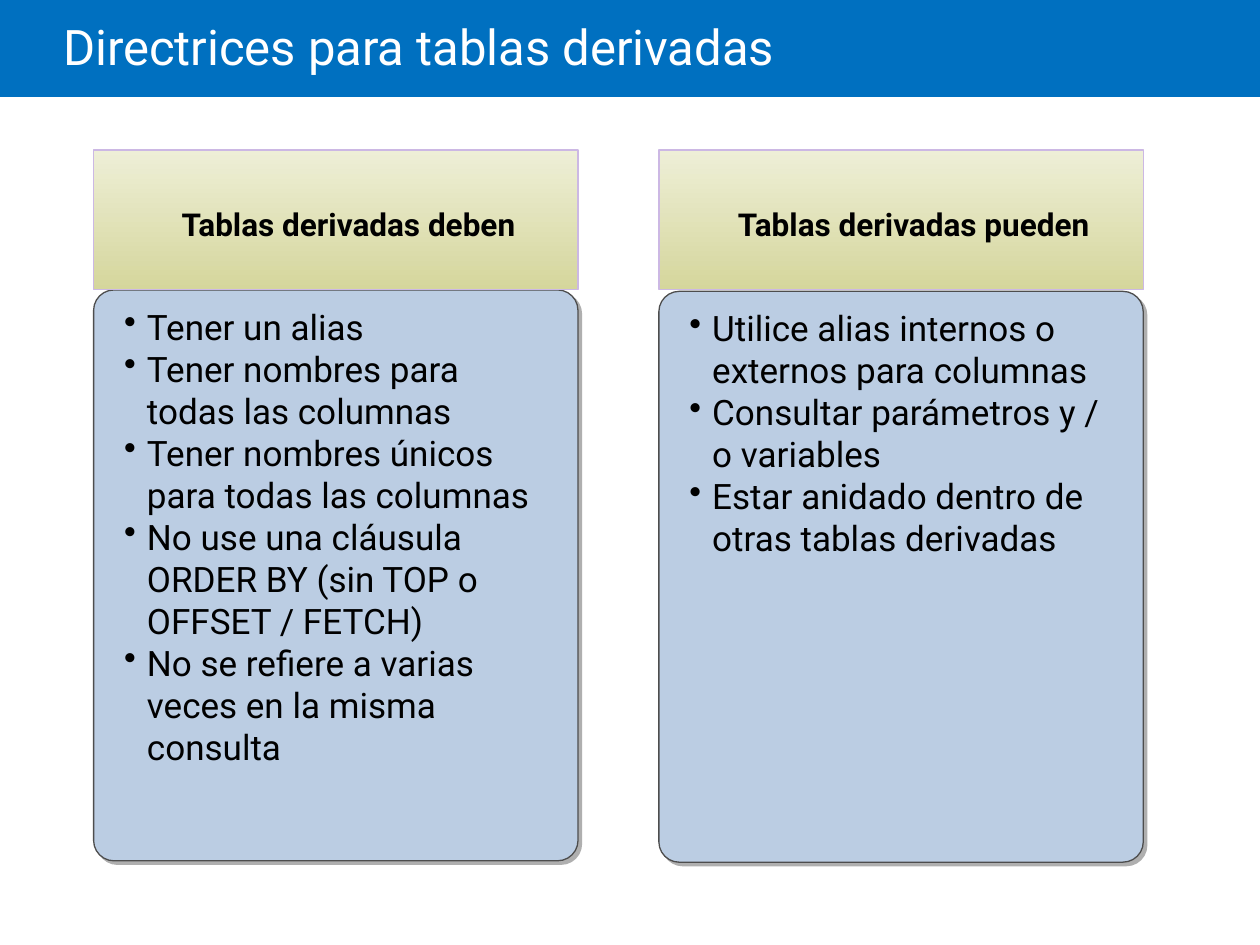
import pptx
import pptx.dml.color
import pptx.enum.shapes
import pptx.enum.text
import pptx.oxml
import pptx.oxml.ns
import pptx.util

Pt = pptx.util.Pt
SHAPES = pptx.enum.shapes.MSO_SHAPE
ALIGN = pptx.enum.text.PP_ALIGN
ANCHOR = pptx.enum.text.MSO_ANCHOR

FONT = "Roboto"
COLORS = {
    "band": "0070C0", "white": "FFFFFF", "text": "000000",
    "card": "BBCDE3", "card_line": "4D4D4D", "shadow": "AFAFAF",
    "header_top": "EEEFD7", "header_bottom": "D5D69C", "header_line": "CCB8E4",
}
COLUMN_WIDTH = 276.8
HEADER_TOP, HEADER_HEIGHT = 85.7, 79.9
CARD_HEIGHT = 326.2
BULLET_INDENT = 13

# left edge, card top, heading, bullet points
COLUMNS = [
    (53.5, 165.7, "Tablas derivadas deben", [
        "Tener un alias",
        "Tener nombres para todas las columnas",
        "Tener nombres únicos para todas las columnas",
        "No use una cláusula ORDER BY (sin TOP o OFFSET / FETCH)",
        "No se refiere a varias veces en la misma consulta",
    ]),
    (376.5, 166.5, "Tablas derivadas pueden", [
        "Utilice alias internos o externos para columnas",
        "Consultar parámetros y / o variables",
        "Estar anidado dentro de otras tablas derivadas",
    ]),
]


def color(name):
    return pptx.dml.color.RGBColor.from_string(COLORS[name])


def add_span(para, text, size, color_name, bold=False):
    span = para.add_run()
    span.text = text
    span.font.name = FONT
    span.font.size = Pt(size)
    span.font.bold = bold
    span.font.color.rgb = color(color_name)


def set_frame(frame, left, top, right, bottom, anchor):
    frame.word_wrap = True
    frame.auto_size = pptx.enum.text.MSO_AUTO_SIZE.NONE
    frame.vertical_anchor = anchor
    frame.margin_left, frame.margin_top = Pt(left), Pt(top)
    frame.margin_right, frame.margin_bottom = Pt(right), Pt(bottom)


def add_block(shapes, kind, left, top, width, height, line=None):
    """Add a preset shape without a shadow, outlined only if a line colour is given."""
    block = shapes.add_shape(kind, Pt(left), Pt(top), Pt(width), Pt(height))
    block.shadow.inherit = False
    if line:
        block.line.color.rgb = color(line)
        block.line.width = Pt(0.75)
    else:
        block.line.fill.background()
    return block


def fill_solid(block, color_name):
    block.fill.solid()
    block.fill.fore_color.rgb = color(color_name)


def add_title(page, text):
    band = add_block(page.shapes, SHAPES.RECTANGLE, 0, 0, 720, 55.4)
    fill_solid(band, "band")
    page.shapes.element.insert(2, band.element)  # behind the title

    title = page.shapes.title
    title.left, title.top = Pt(36), Pt(0)
    title.width, title.height = Pt(612), Pt(58.3)
    set_frame(title.text_frame, 0, 3.6, 7.2, 3.6, ANCHOR.MIDDLE)
    para = title.text_frame.paragraphs[0]
    para.alignment = ALIGN.LEFT
    para.line_spacing = 0.85
    add_span(para, text, 28, "white")


def add_card(shapes, left, top):
    card = add_block(shapes, SHAPES.ROUNDED_RECTANGLE, left, top,
                     COLUMN_WIDTH, CARD_HEIGHT, "card_line")
    card.adjustments[0] = 0.042
    fill_solid(card, "card")
    effects = card.element.spPr.find(pptx.oxml.ns.qn("a:effectLst"))
    effects.append(pptx.oxml.parse_xml(
        f'<a:outerShdw {pptx.oxml.ns.nsdecls("a")} blurRad="0" dist="{Pt(2.8)}" '
        f'dir="2700000" algn="ctr" rotWithShape="0">'
        f'<a:srgbClr val="{COLORS["shadow"]}"/></a:outerShdw>'))


def add_header(shapes, left, text):
    header = add_block(shapes, SHAPES.RECTANGLE, left, HEADER_TOP,
                       COLUMN_WIDTH, HEADER_HEIGHT, "header_line")
    header.fill.gradient()
    header.fill.gradient_angle = 270
    for stop, name in zip(header.fill.gradient_stops, ("header_top", "header_bottom")):
        stop.color.rgb = color(name)
    for stop, position in zip(header.fill.gradient_stops, (0, 1)):
        stop.position = position
    set_frame(header.text_frame, 21.6, 8.6, 7.2, 3.6, ANCHOR.MIDDLE)
    para = header.text_frame.paragraphs[0]
    para.alignment = ALIGN.CENTER
    add_span(para, text, 18, "text", bold=True)


def add_bullets(shapes, left, top, points):
    box = shapes.add_textbox(Pt(left), Pt(top), Pt(246), Pt(299.5))
    frame = box.text_frame
    set_frame(frame, 0, 0, 0, 0, ANCHOR.TOP)
    for index, point in enumerate(points):
        para = frame.add_paragraph() if index else frame.paragraphs[0]
        settings = para._p.get_or_add_pPr()
        settings.set("marL", str(Pt(BULLET_INDENT)))
        settings.set("indent", str(-Pt(BULLET_INDENT)))
        settings.append(pptx.oxml.parse_xml(
            f'<a:buChar {pptx.oxml.ns.nsdecls("a")} char="•"/>'))
        add_span(para, point, 20, "text")


def add_column(page, left, card_top, heading, points):
    shapes = page.shapes.add_group_shape().shapes
    add_card(shapes, left, card_top)
    add_header(shapes, left, heading)
    add_bullets(shapes, left + 17.5, card_top + 8.8, points)


def main():
    deck = pptx.Presentation()
    deck.slide_width, deck.slide_height = Pt(720), Pt(540)
    page = deck.slides.add_slide(deck.slide_layouts.get_by_name("Title Only"))
    add_title(page, "Directrices para tablas derivadas")
    for column in COLUMNS:
        add_column(page, *column)
    deck.save("out.pptx")


if __name__ == "__main__":
    main()
